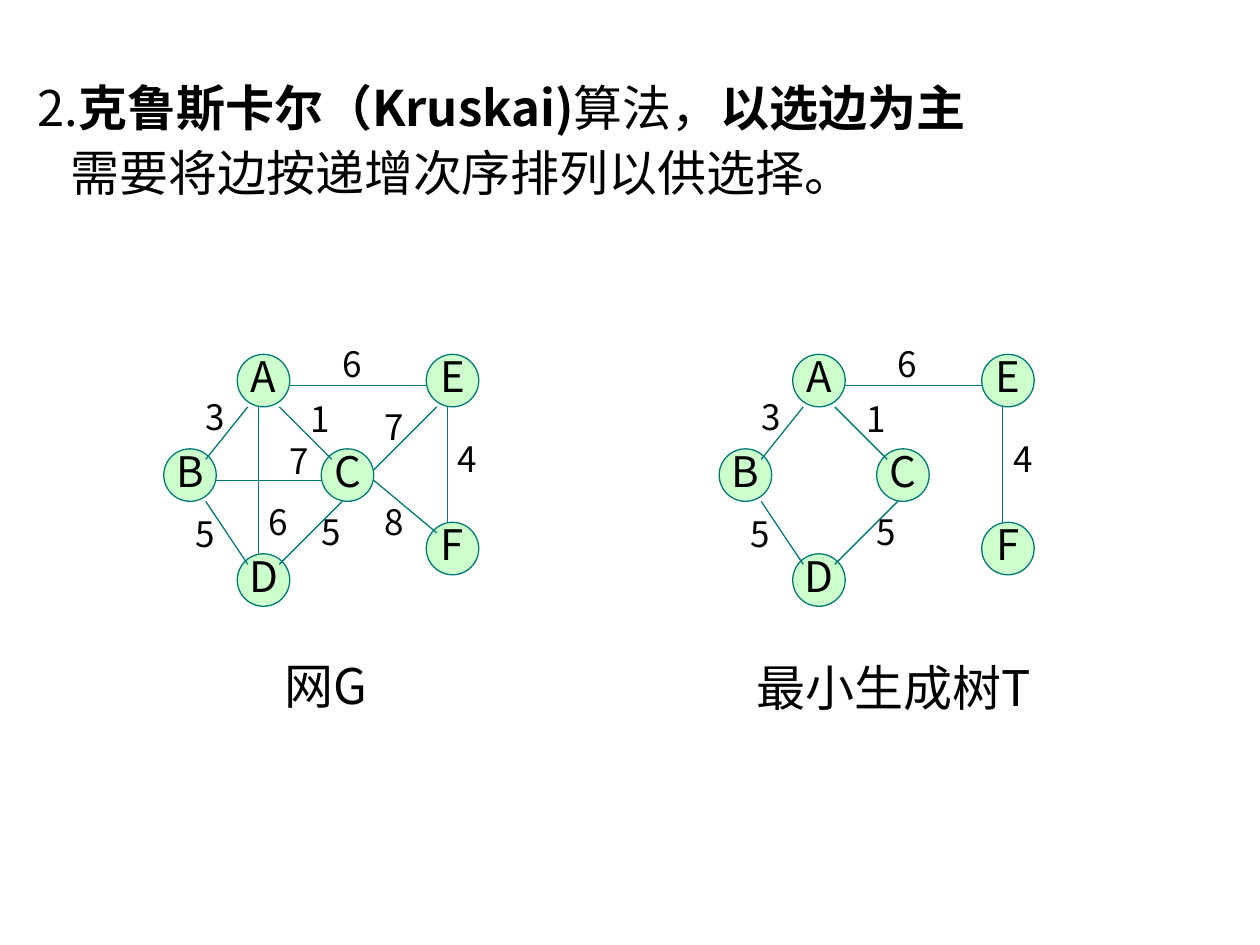
from lxml.etree import SubElement
from pptx import Presentation
from pptx.dml.color import RGBColor
from pptx.enum.shapes import MSO_CONNECTOR as Connector, MSO_SHAPE as Shape
from pptx.enum.text import MSO_ANCHOR as Anchor, MSO_AUTO_SIZE as AutoSize, PP_ALIGN as Align
from pptx.oxml.ns import qn
from pptx.util import Pt

FONT = "Noto Sans CJK SC"
BLACK = RGBColor(0x00, 0x00, 0x00)
MINT = RGBColor(0xCC, 0xFF, 0xCC)
TEAL = RGBColor(0x00, 0x7A, 0x77)

NODE_SIZE = 30
NODES = {"C": (90, 54), "A": (42, 0), "D": (42, 114),
         "E": (150, 0), "B": (0, 54), "F": (150, 96)}
EDGES = {
    "AB": ((48, 30), (24, 60), "3", (24, 30)),
    "BD": ((24, 84), (48, 120), "5", (18, 97)),
    "BC": ((30, 72), (90, 72), "7", (72, 55)),
    "AD": ((54, 30), (54, 114), "6", (60, 90)),
    "AC": ((66, 30), (96, 60), "1", (84, 31)),
    "CD": ((102, 84), (66, 120), "5", (90, 96)),
    "CE": ((156, 30), (120, 66), "7", (126, 36)),
    "CF": ((120, 72), (156, 102), "8", (126, 90)),
    "EF": ((162, 30), (162, 96), "4", (168, 54)),
    "AE": ((72, 18), (150, 18), "6", (102, 0)),
}
TREE_EDGES = ["AB", "BD", "AC", "CD", "EF", "AE"]
HEADING = [
    [("2.", False), ("克鲁斯卡尔（Kruskai)", True), ("算法，", False), ("以选边为主", True)],
    [("需要将边按递增次序排列以供选择。", False)],
]
HEADING_INDENTS = [(27, -27), (18.7, 0)]


def add_text(para, text, size=28, bold=False, spacing=None, align=None):
    """Add one formatted run to a paragraph."""
    if spacing:
        para.line_spacing = spacing
    if align is not None:
        para.alignment = align
    span = para.add_run()
    span.text = text
    font = span.font
    font.name, font.size, font.bold = FONT, Pt(size), bold
    font.color.rgb = BLACK
    SubElement(font._element, qn("a:ea"), typeface=FONT)


def add_heading(page, left, top, width, height):
    """Fill the body placeholder with the two heading lines."""
    body = page.placeholders[1]
    body.left, body.top, body.width, body.height = map(Pt, (left, top, width, height))
    frame = body.text_frame
    frame.auto_size = AutoSize.NONE
    frame.vertical_anchor = Anchor.TOP
    for index, (spans, (margin, indent)) in enumerate(zip(HEADING, HEADING_INDENTS)):
        para = frame.add_paragraph() if index else frame.paragraphs[0]
        properties = para._p.get_or_add_pPr()
        properties.set("marL", str(Pt(margin)))
        properties.set("indent", str(Pt(indent)))
        SubElement(properties, qn("a:buNone"))
        para.space_before = Pt(0)
        for text, bold in spans:
            add_text(para, text, bold=bold, spacing=1.1)


def add_label(page, text, left, top, width, height, inset=True, **text_format):
    """Place a text box that grows downwards with its text."""
    box = page.shapes.add_textbox(Pt(left), Pt(top), Pt(width), Pt(height))
    frame = box.text_frame
    frame.word_wrap = True
    frame.auto_size = AutoSize.SHAPE_TO_FIT_TEXT
    if not inset:
        frame.margin_left = frame.margin_right = frame.margin_top = frame.margin_bottom = 0
    add_text(frame.paragraphs[0], text, **text_format)


def add_node(page, name, left, top):
    """Draw one round vertex with its letter."""
    node = page.shapes.add_shape(Shape.OVAL, Pt(left), Pt(top), Pt(NODE_SIZE), Pt(NODE_SIZE))
    node.shadow.inherit = False
    node.fill.solid()
    node.fill.fore_color.rgb = MINT
    node.line.color.rgb = TEAL
    node.line.width = Pt(0.75)
    frame = node.text_frame
    frame.word_wrap = False
    frame.vertical_anchor = Anchor.MIDDLE
    add_text(frame.paragraphs[0], name, size=24, spacing=0.8, align=Align.CENTER)


def add_edge(page, x1, y1, x2, y2):
    """Draw one straight edge."""
    edge = page.shapes.add_connector(Connector.STRAIGHT, Pt(x1), Pt(y1), Pt(x2), Pt(y2))
    edge.line.color.rgb = TEAL
    edge.line.width = Pt(0.75)
    SubElement(edge._element.spPr, qn("a:effectLst"))


def add_graph(page, left, top, edge_names):
    """Draw all vertices and the chosen weighted edges from a top-left corner."""
    for name, (x, y) in NODES.items():
        add_node(page, name, left + x, top + y)
    for edge_name in edge_names:
        (x1, y1), (x2, y2), weight, (x, y) = EDGES[edge_name]
        add_edge(page, left + x1, top + y1, left + x2, top + y2)
        add_label(page, weight, left + x, top + y, 12, 16.5,
                  inset=False, size=20, spacing=0.7)


def main():
    """Build the slide and save the deck."""
    deck = Presentation()
    deck.slide_width, deck.slide_height = Pt(720), Pt(540)
    page = deck.slides.add_slide(deck.slide_layouts[1])
    title = page.shapes.title._element
    title.getparent().remove(title)
    add_heading(page, 14.4, 37.5, 594, 84)
    add_graph(page, 93.6, 202.5, EDGES)
    add_graph(page, 411, 202.5, TREE_EDGES)
    add_label(page, "最小生成树T", 425.5, 372, 174, 41)
    add_label(page, "网G", 155.5, 371, 69, 41)
    deck.save("out.pptx")


if __name__ == "__main__":
    main()
